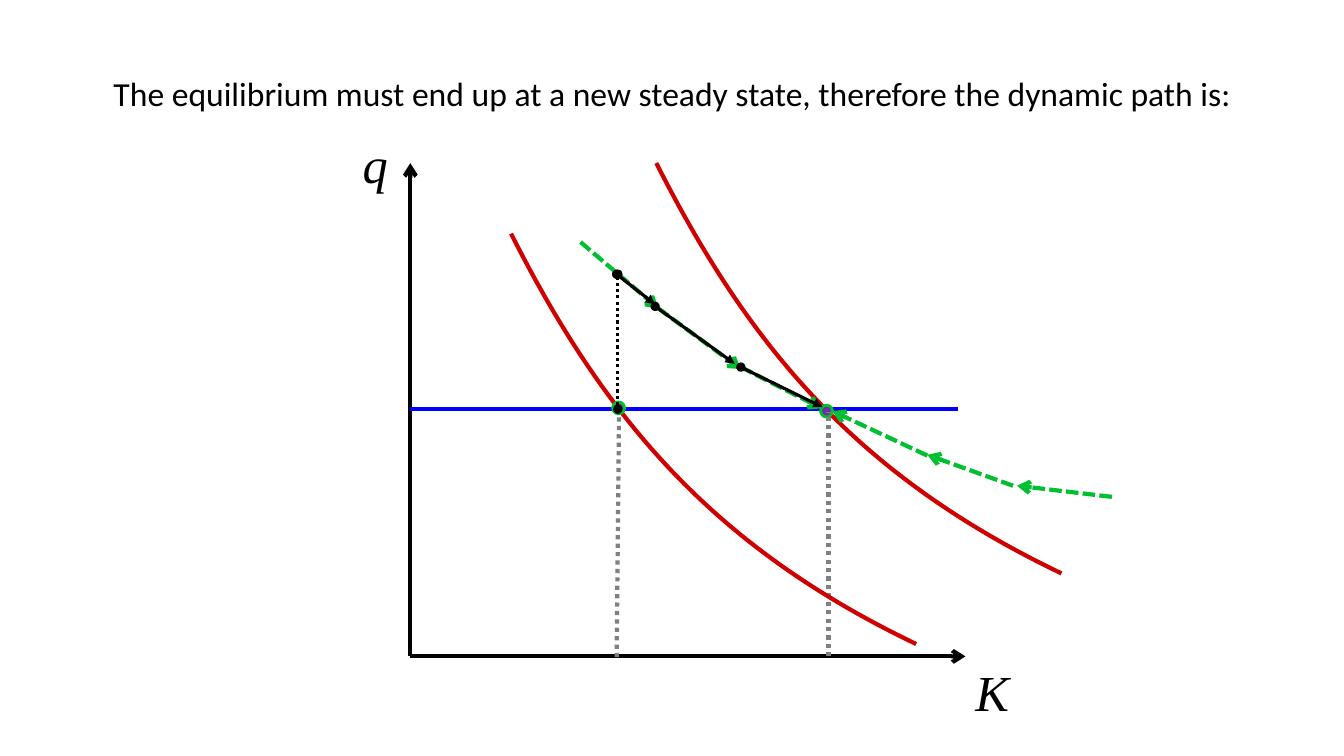
from dataclasses import dataclass

from pptx import Presentation
from pptx.dml.color import RGBColor
from pptx.enum.dml import MSO_LINE
from pptx.enum.shapes import MSO_CONNECTOR, MSO_SHAPE
from pptx.enum.text import MSO_ANCHOR, PP_ALIGN
from pptx.oxml.ns import qn
from pptx.util import Cm, Pt
from lxml import etree

STRAIGHT = MSO_CONNECTOR.STRAIGHT
OVAL = MSO_SHAPE.OVAL
DOTTED = MSO_LINE.ROUND_DOT
DASHED = MSO_LINE.SQUARE_DOT
CENTER = PP_ALIGN.CENTER
LEFT = PP_ALIGN.LEFT
MIDDLE = MSO_ANCHOR.MIDDLE
TOP = MSO_ANCHOR.TOP


@dataclass(frozen=True)
class Theme:
    """Colours, fonts and sizes of the slide."""

    black: RGBColor = RGBColor(0x00, 0x00, 0x00)
    red: RGBColor = RGBColor(0xD0, 0x00, 0x00)
    blue: RGBColor = RGBColor(0x00, 0x00, 0xFE)
    green: RGBColor = RGBColor(0x00, 0xC0, 0x32)
    grey: RGBColor = RGBColor(0x80, 0x80, 0x80)
    purple: RGBColor = RGBColor(0x70, 0x30, 0xA0)
    title_font: str = "Calibri"
    label_font: str = "Times New Roman"
    title_size: Pt = Pt(24)
    label_size: Pt = Pt(36)
    thick: Pt = Pt(3)
    medium: Pt = Pt(2.25)
    thin: Pt = Pt(2)


THEME = Theme()
ORIGIN = (10.34, 16.54)
AXIS_TOP = 4.11
AXIS_RIGHT = 24.33
STEADY_Q = 10.31
CURVE_OFFSETS = ((0, 0), (2.34, 4.62), (5.05, 7.87), (10.21, 10.34))
CURVE_STEPS = 60
DOT_SIZE = 0.3
SADDLE_PATH = (
    ((14.63, 6.1), (16.59, 7.77)),
    ((18.67, 9.25), (20.7, 10.29)),
    ((16.59, 7.77), (18.67, 9.3)),
    ((23.37, 11.48), (20.98, 10.36)),
    ((25.53, 12.24), (23.37, 11.46)),
    ((28.02, 12.52), (25.63, 12.24)),
)
DYNAMIC_PATH = (
    ((18.67, 9.25), (20.73, 10.26)),
    ((16.51, 7.72), (18.52, 9.17)),
    ((15.54, 6.91), (16.51, 7.67)),
)


def add_text(slide, text, box, font, size, italic=False, align=LEFT, anchor=TOP):
    """Add a one-paragraph text box."""
    frame = slide.shapes.add_textbox(*map(Cm, box)).text_frame
    frame.word_wrap = True
    frame.vertical_anchor = anchor
    paragraph = frame.paragraphs[0]
    paragraph.text = text
    paragraph.alignment = align
    paragraph.font.name = font
    paragraph.font.size = size
    paragraph.font.italic = italic
    paragraph.font.color.rgb = THEME.black


def add_line(slide, start, end, color, width=THEME.thick, dash=None, head=None, tail=None):
    """Add a straight line with optional dashes and line ends."""
    connector = slide.shapes.add_connector(STRAIGHT, *map(Cm, start + end))
    connector.line.color.rgb = color
    connector.line.width = width
    if dash is not None:
        connector.line.dash_style = dash
    properties = connector._element.spPr
    outline = properties.find(qn("a:ln"))
    for tag, kind in (("a:headEnd", head), ("a:tailEnd", tail)):
        if kind:
            etree.SubElement(outline, qn(tag), type=kind)
    etree.SubElement(properties, qn("a:effectLst"))


def curve_point(start, t):
    """Return the point of the cubic demand-type curve at parameter t."""
    weights = ((1 - t) ** 3, 3 * t * (1 - t) ** 2, 3 * t**2 * (1 - t), t**3)
    return tuple(
        Cm(start[axis] + sum(w * offset[axis] for w, offset in zip(weights, CURVE_OFFSETS)))
        for axis in (0, 1)
    )


def add_curve(slide, start):
    """Add a red falling curve that begins at start."""
    points = [curve_point(start, step / CURVE_STEPS) for step in range(CURVE_STEPS + 1)]
    builder = slide.shapes.build_freeform(*points[0])
    builder.add_line_segments(points[1:], close=False)
    shape = builder.convert_to_shape()
    shape.shadow.inherit = False
    shape.fill.background()
    shape.line.color.rgb = THEME.red
    shape.line.width = THEME.thick


def add_steady_state(slide, left, top):
    """Add the dot of a steady state."""
    shape = slide.shapes.add_shape(OVAL, *map(Cm, (left, top, DOT_SIZE, DOT_SIZE)))
    shape.shadow.inherit = False
    shape.fill.solid()
    shape.fill.fore_color.rgb = THEME.purple
    shape.line.color.rgb = THEME.green
    shape.line.width = THEME.thin


def add_axes(slide):
    """Add both axes, their labels and the constant-capital line."""
    for end in ((ORIGIN[0], AXIS_TOP), (AXIS_RIGHT, ORIGIN[1])):
        add_line(slide, ORIGIN, end, THEME.black, tail="arrow")
    for name, left, top in (("q", 8.89, 3.23), ("K", AXIS_RIGHT, ORIGIN[1])):
        add_text(slide, name, (left, top, 1.19, 1.8), THEME.label_font, THEME.label_size, italic=True)
    add_line(slide, (ORIGIN[0], STEADY_Q), (24.13, STEADY_Q), THEME.blue)


def add_paths(slide):
    """Add the saddle path, the initial jump and the dynamic path."""
    for start, end in SADDLE_PATH:
        add_line(slide, start, end, THEME.green, dash=DASHED, tail="arrow")
    add_line(slide, (15.57, STEADY_Q), (15.57, 6.91), THEME.black, THEME.medium, DOTTED, "oval", "oval")
    for start, end in DYNAMIC_PATH:
        add_line(slide, start, end, THEME.black, THEME.medium, head="oval", tail="triangle")


def main():
    """Build the slide and save it."""
    presentation = Presentation()
    presentation.slide_width = Cm(33.87)
    presentation.slide_height = Cm(19.05)
    slide = presentation.slides.add_slide(presentation.slide_layouts[6])
    add_curve(slide, (16.54, 4.11))
    add_text(
        slide,
        "The equilibrium must end up at a new steady state, therefore the dynamic path is:",
        (1.7, 0.76, 30.48, 3.18),
        THEME.title_font,
        THEME.title_size,
        align=CENTER,
        anchor=MIDDLE,
    )
    add_axes(slide)
    add_steady_state(slide, 20.68, 10.21)
    add_line(slide, (20.88, 16.54), (20.88, 10.39), THEME.grey, dash=DOTTED)
    add_curve(slide, (12.88, 5.89))
    add_steady_state(slide, 15.44, 10.13)
    add_line(slide, (15.54, 16.56), (15.6, 10.41), THEME.grey, dash=DOTTED)
    add_paths(slide)
    presentation.save("out.pptx")


if __name__ == "__main__":
    main()
